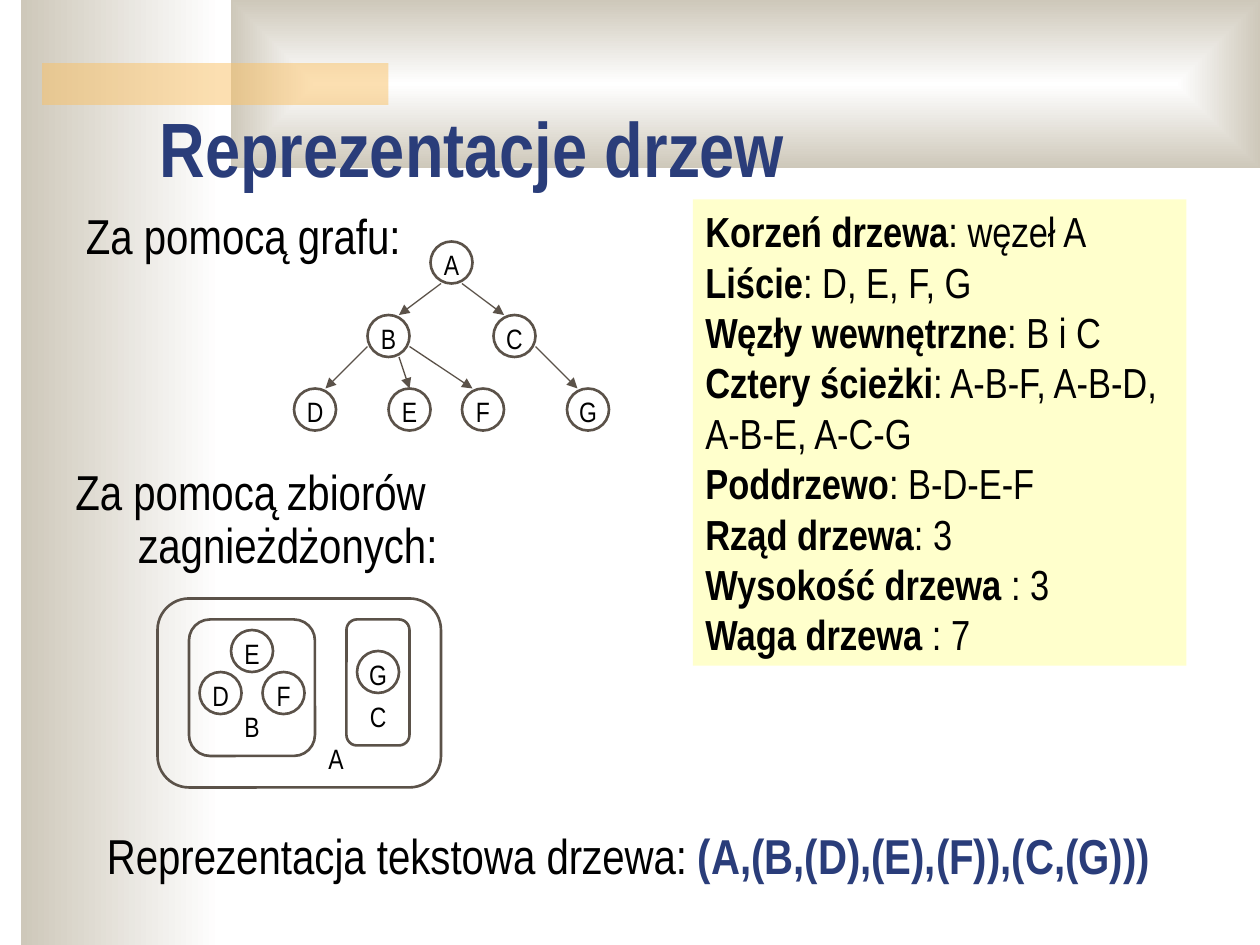
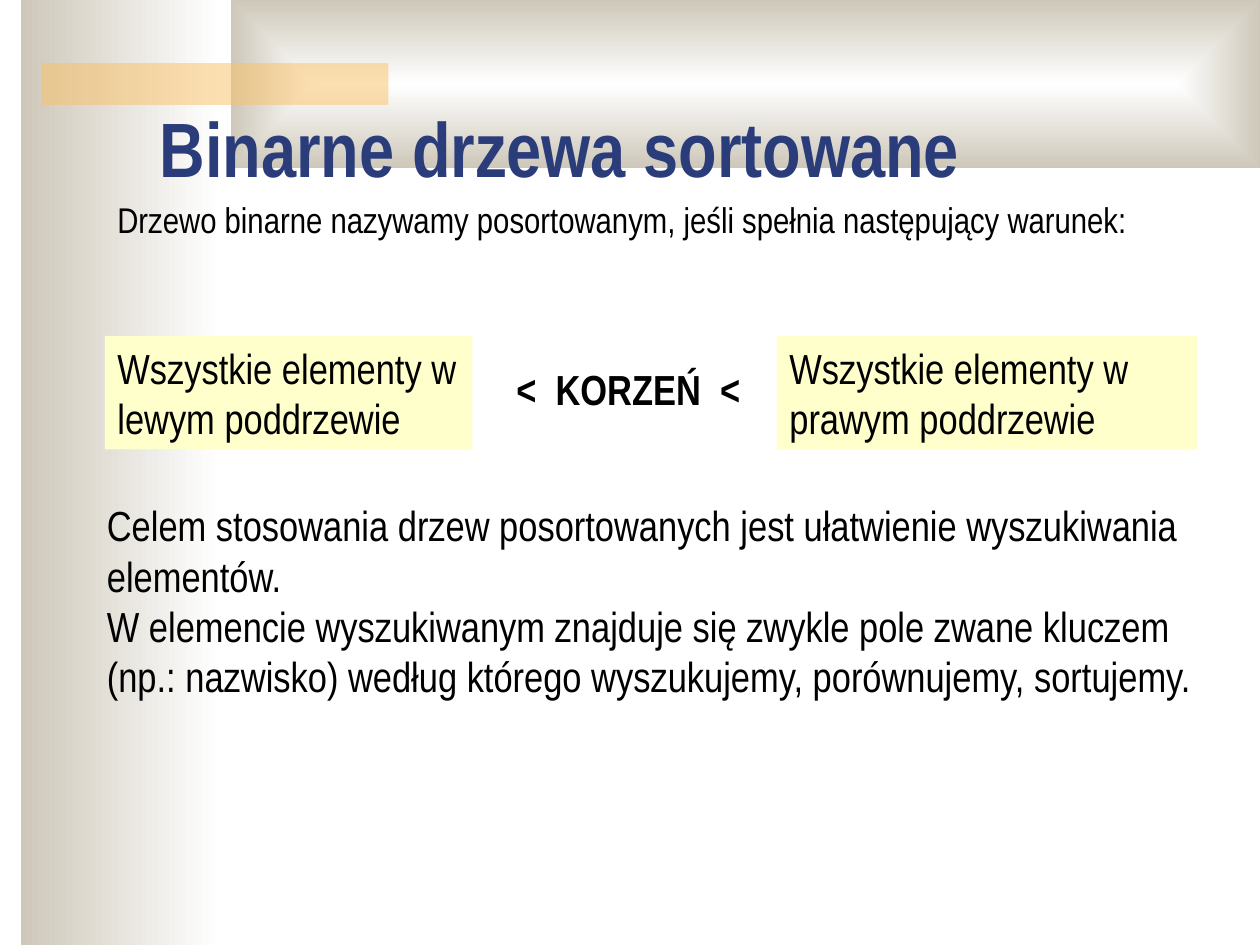
from dataclasses import dataclass
from typing import NamedTuple

from lxml.etree import SubElement
from pptx import Presentation
from pptx.dml.color import RGBColor
from pptx.enum.shapes import MSO_CONNECTOR, MSO_SHAPE
from pptx.enum.text import MSO_ANCHOR, MSO_AUTO_SIZE, PP_ALIGN
from pptx.oxml.ns import qn
from pptx.util import Inches, Pt

# Grid of 120 columns and 90 rows on a 10 x 7.5 inch slide
CELL = Inches(10) // 120
COLUMNS, ROWS = 120, 90
NODE = 4  # width and height of a tree node, in cells
FONT = "Arial Narrow"
COLORS = {
    "white": "FFFFFF",
    "sand": "CEC8BA",
    "amber": "FAC164",
    "navy": "2A3D7A",
    "text": "000000",
    "outline": "5B5249",
    "panel": "FFFFCC",
}


class Area(NamedTuple):
    column: int
    row: int
    columns: int
    rows: int

    def emu(self) -> tuple[int, ...]:
        return tuple(value * CELL for value in self)


class Run(NamedTuple):
    text: str
    bold: bool = False
    color: str = "text"


@dataclass(frozen=True)
class Node:
    name: str
    column: int
    row: int
    circled: bool = True


@dataclass(frozen=True)
class Edge:
    parent: str
    child: str
    leaves: tuple[int, int]  # offset in cells from the parent's corner
    enters: tuple[int, int]  # offset in cells from the child's corner


@dataclass(frozen=True)
class Style:
    size: float = 24
    bold: bool | None = None
    spacing: float | None = None
    hanging: float = 0


TREE = [
    Node("A", 41, 23), Node("B", 35, 30), Node("C", 47, 30),
    Node("D", 28, 37), Node("E", 37, 37), Node("F", 44, 37), Node("G", 54, 37),
]
EDGES = [
    Edge("A", "B", (1, 4), (3, 0)), Edge("A", "C", (3, 4), (1, 0)),
    Edge("B", "D", (0, 3), (3, 0)), Edge("B", "E", (3, 4), (2, 0)),
    Edge("B", "F", (4, 3), (1, 0)), Edge("C", "G", (4, 3), (1, 0)),
]
SETS = [Area(15, 57, 27, 18), Area(18, 59, 12, 13), Area(33, 59, 6, 12)]
MEMBERS = [
    Node("E", 22, 60), Node("D", 19, 64), Node("F", 25, 64), Node("G", 34, 62),
    Node("B", 22, 67, False), Node("C", 34, 66, False), Node("A", 30, 70, False),
]
FACTS = [
    ("Korzeń drzewa", ": węzeł A"),
    ("Liście", ": D, E, F, G"),
    ("Węzły wewnętrzne", ": B i C"),
    ("Cztery ścieżki", ": A-B-F, A-B-D, A-B-E, A-C-G"),
    ("Poddrzewo", ": B-D-E-F"),
    ("Rząd drzewa", ": 3"),
    ("Wysokość drzewa", " : 3"),
    ("Waga drzewa", " : 7"),
]


def rgb(name: str) -> RGBColor:
    return RGBColor.from_string(COLORS[name])


def set_font(paragraph, size: float, color: str = "text", bold: bool | None = None) -> None:
    font = paragraph.font
    font.name, font.size, font.bold = FONT, Pt(size), bold
    font.color.rgb = rgb(color)


def add_outline(shapes, kind, area: Area):
    shape = shapes.add_shape(kind, *area.emu())
    shape.shadow.inherit = False
    shape.fill.background()
    shape.line.color.rgb = rgb("outline")
    shape.line.width = Pt(1.5)
    return shape


def add_band(shapes, area: Area):
    band = shapes.add_shape(MSO_SHAPE.RECTANGLE, *area.emu())
    band.shadow.inherit = False
    band.line.fill.background()
    return band


def fade_to_sand(band) -> None:
    band.fill.gradient()
    band.fill.gradient_angle = 180
    for stop, color in zip(band.fill.gradient_stops, ("white", "sand")):
        stop.color.rgb = rgb(color)


def decorate_master(master, shapes) -> None:
    """Draw the bands once and move them behind everything on the master."""
    side = add_band(shapes, Area(2, 0, 19, ROWS))
    fade_to_sand(side)

    top = add_band(shapes, Area(22, 0, COLUMNS - 22, 16))
    fade_to_sand(top)
    gradient = top.element.spPr.find(qn("a:gradFill"))
    gradient.remove(gradient.find(qn("a:lin")))
    rectangular = SubElement(gradient, qn("a:path"), {"path": "rect"})
    SubElement(rectangular, qn("a:fillToRect"), dict.fromkeys("ltrb", "50000"))

    accent = add_band(shapes, Area(4, 6, 33, 4))
    accent.fill.solid()
    accent.fill.fore_color.rgb = rgb("amber")
    amber = accent.element.spPr.find(qn("a:solidFill"))[0]
    SubElement(amber, qn("a:alpha"), {"val": "50000"})

    for index, band in enumerate((side, top, accent)):
        band.element.nvSpPr.cNvPr.set("id", str(100 + index))
        master.shapes.element.insert(2 + index, band.element)


def set_title(slide, text: str) -> None:
    title = slide.shapes.title
    title.left, title.top, title.width, title.height = Area(14, 11, 102, 8).emu()
    frame = title.text_frame
    frame.text = text
    frame.auto_size = MSO_AUTO_SIZE.NONE
    frame.vertical_anchor = MSO_ANCHOR.BOTTOM
    frame.paragraphs[0].alignment = PP_ALIGN.LEFT
    set_font(frame.paragraphs[0], 44, "navy", True)


def write(shape, paragraphs: list[list[Run]], style: Style) -> None:
    frame = shape.text_frame
    frame.word_wrap = True
    frame.vertical_anchor = MSO_ANCHOR.TOP
    for index, runs in enumerate(paragraphs):
        paragraph = frame.add_paragraph() if index else frame.paragraphs[0]
        paragraph.alignment = PP_ALIGN.LEFT
        set_font(paragraph, style.size, bold=style.bold)
        if style.spacing:
            paragraph.line_spacing = style.spacing
        if style.hanging:
            properties = paragraph._p.get_or_add_pPr()
            properties.set("marL", str(Inches(style.hanging)))
            properties.set("indent", str(-Inches(style.hanging)))
        for text, bold, color in runs:
            run = paragraph.add_run()
            run.text = text
            if bold:
                run.font.bold = True
            if color != "text":
                run.font.color.rgb = rgb(color)


def add_text(slide, area: Area, paragraphs: list[list[Run]], style: Style = Style()) -> None:
    write(slide.shapes.add_textbox(*area.emu()), paragraphs, style)


def add_panel(slide, area: Area, paragraphs: list[list[Run]]) -> None:
    panel = add_band(slide.shapes, area)
    panel.fill.solid()
    panel.fill.fore_color.rgb = rgb("panel")
    write(panel, paragraphs, Style())


def add_node(shapes, node: Node) -> None:
    area = Area(node.column, node.row, NODE, NODE)
    if node.circled:
        shape = add_outline(shapes, MSO_SHAPE.OVAL, area)
    else:
        shape = shapes.add_textbox(*area.emu())
    frame = shape.text_frame
    frame.margin_left = frame.margin_right = frame.margin_bottom = 0
    frame.margin_top = Inches(0.03)
    frame.word_wrap = False
    frame.vertical_anchor = MSO_ANCHOR.MIDDLE
    frame.text = node.name
    frame.paragraphs[0].alignment = PP_ALIGN.CENTER
    set_font(frame.paragraphs[0], 16)


def add_edge(shapes, edge: Edge, nodes: dict[str, Node]) -> None:
    ends = []
    for name, (right, down) in ((edge.parent, edge.leaves), (edge.child, edge.enters)):
        ends += [(nodes[name].column + right) * CELL, (nodes[name].row + down) * CELL]
    arrow = shapes.add_connector(MSO_CONNECTOR.STRAIGHT, *ends)
    arrow.line.color.rgb = rgb("outline")
    arrow.line.width = Pt(0.75)
    SubElement(arrow.line._get_or_add_ln(), qn("a:tailEnd"), {"type": "triangle"})
    SubElement(arrow.element.spPr, qn("a:effectLst"))


def build_representations(slide) -> None:
    set_title(slide, "Reprezentacje drzew")

    # Tree as a graph
    add_text(slide, Area(7, 19, 34, 7), [[Run("Za pomocą grafu:")]], Style(28))
    graph = slide.shapes.add_group_shape().shapes
    for node in TREE:
        add_node(graph, node)
    nodes = {node.name: node for node in TREE}
    for edge in EDGES:
        add_edge(graph, edge, nodes)

    # Tree as nested sets
    add_text(slide, Area(6, 44, 37, 11), [[Run("Za pomocą zbiorów zagnieżdżonych:")]],
             Style(28, spacing=0.9, hanging=0.5))
    nested = slide.shapes.add_group_shape().shapes
    for area in SETS:
        add_outline(nested, MSO_SHAPE.ROUNDED_RECTANGLE, area)
    for member in MEMBERS:
        add_node(nested, member)

    # Facts about the tree and its text form
    add_panel(slide, Area(66, 19, 47, 44.4),
              [[Run(term, True), Run(value)] for term, value in FACTS])
    add_text(slide, Area(9, 78, 102, 7),
             [[Run("Reprezentacja tekstowa drzewa: "),
               Run("(A,(B,(D),(E),(F)),(C,(G)))", True, "navy")]], Style(28))


def build_sorted_trees(slide) -> None:
    set_title(slide, "Binarne drzewa sortowane")
    add_text(slide, Area(10, 19, 103, 6),
             [[Run("Drzewo binarne nazywamy posortowanym, jeśli spełnia następujący warunek:")]],
             Style(20.4, spacing=0.8))

    # Ordering condition
    add_panel(slide, Area(10, 32, 35, 10.8), [[Run("Wszystkie elementy w lewym poddrzewie")]])
    add_panel(slide, Area(74, 32, 40, 10.8), [[Run("Wszystkie elementy w prawym poddrzewie")]])
    add_text(slide, Area(48, 34, 25, 6), [[Run("<  KORZEŃ  <")]], Style(bold=True))

    # Purpose
    add_text(slide, Area(9, 47, 111, 20), [
        [Run("Celem stosowania drzew posortowanych jest ułatwienie wyszukiwania elementów.")],
        [Run("W elemencie wyszukiwanym znajduje się zwykle pole zwane kluczem (np.: nazwisko) "
             "według którego wyszukujemy, porównujemy, sortujemy.")],
    ])


def main() -> None:
    deck = Presentation()
    deck.slide_width, deck.slide_height = COLUMNS * CELL, ROWS * CELL
    title_only = deck.slide_layouts.get_by_name("Title Only")
    for index, build in enumerate((build_representations, build_sorted_trees)):
        slide = deck.slides.add_slide(title_only)
        if index == 0:
            decorate_master(deck.slide_master, slide.shapes)
        build(slide)
    deck.save("out.pptx")


if __name__ == "__main__":
    main()
